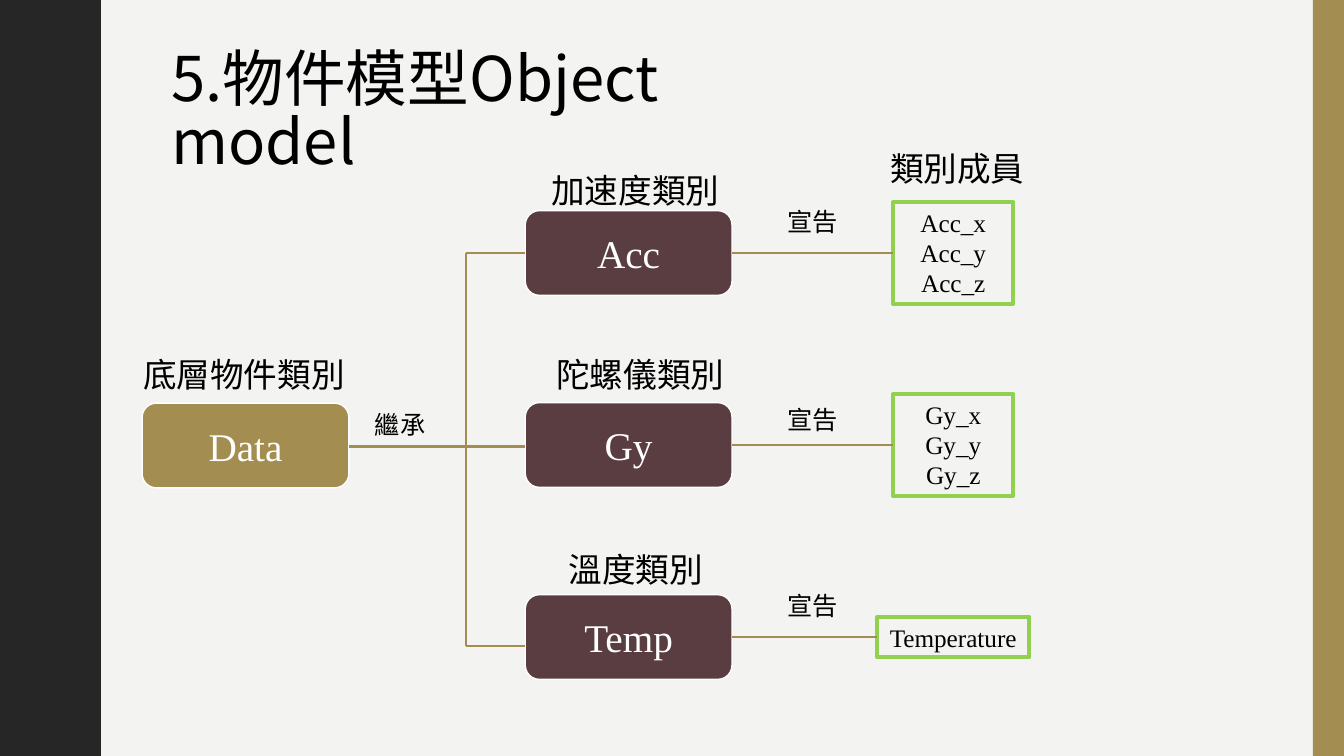
import lxml.etree
import pptx
import pptx.dml.color
import pptx.enum.shapes
import pptx.enum.text
import pptx.oxml.ns
import pptx.util

Inches = pptx.util.Inches
Shape = pptx.enum.shapes.MSO_SHAPE
Align = pptx.enum.text.PP_ALIGN
Anchor = pptx.enum.text.MSO_ANCHOR
qn = pptx.oxml.ns.qn

GOLD, PLUM, GREEN = "A38D51", "5A3D40", "92D050"
DARK, WHITE, BLACK, PAPER = "262626", "FFFFFF", "000000", "F3F3F2"
SERIF, SANS, HEADING = "Times New Roman", "Calibri", "Noto Sans CJK SC"


def color(hex_code):
    return pptx.dml.color.RGBColor.from_string(hex_code)


class ModelPage:
    def __init__(self, deck):
        self.page = deck.slides.add_slide(deck.slide_layouts[5])
        self.page.background.fill.solid()
        self.page.background.fill.fore_color.rgb = color(PAPER)

    def set_text(self, shape, text, size, font, ink, align=Align.LEFT):
        frame = shape.text_frame
        frame.text = text
        for para in frame.paragraphs:
            para.alignment = align
            for span in para.runs:
                span.font.size = pptx.util.Pt(size)
                span.font.name = font
                span.font.color.rgb = color(ink)
        return frame

    def paint(self, shape, fill=None, line=None, weight=1):
        shape.shadow.inherit = False
        if fill:
            shape.fill.solid()
            shape.fill.fore_color.rgb = color(fill)
        else:
            shape.fill.background()
        if line:
            shape.line.color.rgb = color(line)
            shape.line.width = pptx.util.Pt(weight)
        else:
            shape.line.fill.background()

    def title(self, text, left, top, width, height):
        box = self.page.shapes.title
        box.left, box.top = Inches(left), Inches(top)
        box.width, box.height = Inches(width), Inches(height)
        frame = self.set_text(box, text, 44, HEADING, BLACK)
        frame.word_wrap = True
        frame.auto_size = pptx.enum.text.MSO_AUTO_SIZE.NONE
        frame.vertical_anchor = Anchor.TOP
        frame.paragraphs[0].line_spacing = 0.85
        properties = frame.paragraphs[0].runs[0].font._element
        lxml.etree.SubElement(properties, qn("a:ea")).set("typeface", HEADING)

    def label(self, text, left, top, width, height=0.5, size=24, font=SERIF):
        box = self.page.shapes.add_textbox(
            Inches(left), Inches(top), Inches(width), Inches(height))
        self.set_text(box, text, size, font, BLACK).word_wrap = False

    def relation(self, text, left, top):
        self.label(text, left, top, 0.71, 0.4, 18, SANS)

    def shape(self, kind, left, top, width, height, **style):
        shape = self.page.shapes.add_shape(
            kind, Inches(left), Inches(top), Inches(width), Inches(height))
        self.paint(shape, **style)
        return shape

    def class_box(self, name, left, middle, fill):
        box = self.shape(Shape.ROUNDED_RECTANGLE, left, middle - 0.42, 2.05, 0.84,
                         fill=fill, line=WHITE)
        frame = self.set_text(box, name, 28, SERIF, WHITE, Align.CENTER)
        frame.vertical_anchor = Anchor.MIDDLE

    def member_box(self, members, left, middle, width, height):
        box = self.shape(Shape.RECTANGLE, left, middle - height / 2, width, height,
                         line=GREEN, weight=3)
        frame = self.set_text(box, members, 18, SERIF, BLACK, Align.CENTER)
        frame.vertical_anchor = Anchor.TOP

    def line(self, x1, y1, x2, y2):
        connector = self.page.shapes.add_connector(
            pptx.enum.shapes.MSO_CONNECTOR.STRAIGHT,
            Inches(x1), Inches(y1), Inches(x2), Inches(y2))
        connector.line.color.rgb = color(GOLD)
        connector.line.width = pptx.util.Pt(1.5)
        lxml.etree.SubElement(connector._element.spPr, qn("a:effectLst"))

    def wavy_edge(self):
        quarter = [(0.78, 0), (0.78, 0.07), (0.79, 0.14), (0.8, 0.2), (0.81, 0.25),
                   (0.83, 0.29), (0.85, 0.33), (0.87, 0.38), (0.89, 0.42), (0.91, 0.46),
                   (0.93, 0.5), (0.95, 0.55), (0.96, 0.61), (0.97, 0.68), (0.97, 0.75)]
        wave = quarter + [(x, 1.5 - y) for x, y in reversed(quarter[:-1])]
        edge = [(x, y + 1.5 * turn) for turn in range(5) for x, y in wave]
        builder = self.page.shapes.build_freeform(0, 0, scale=Inches(1))
        builder.add_line_segments(edge + [(0, 7.5)], close=True)
        self.paint(builder.convert_to_shape(), fill=DARK)


def main():
    deck = pptx.Presentation()
    deck.slide_width, deck.slide_height = Inches(13.33), Inches(7.5)
    model = ModelPage(deck)
    model.wavy_edge()
    model.shape(Shape.RECTANGLE, 13.02, 0, 0.31, 7.5, fill=GOLD)
    model.title("5.物件模型Object model", 1.6, 0.46, 6.99, 0.84)

    model.label("底層物件類別", 1.32, 3.46, 2.22)
    model.label("類別成員", 8.73, 1.42, 1.55)
    model.class_box("Data", 1.41, 4.42, GOLD)
    trunk, class_left, class_right = 4.62, 5.21, 7.26
    model.line(3.46, 4.43, trunk, 4.43)
    model.line(trunk, 2.51, trunk, 6.41)
    model.relation("繼承", 3.62, 4.01)

    classes = [
        ("Acc", ("加速度類別", 5.37, 1.64, 1.88), 2.51, 2,
         "Acc_x\nAcc_y\nAcc_z", 8.86, 1.19, 1.01),
        ("Gy", ("陀螺儀類別", 5.42, 3.46, 1.88), 4.43, 3.96,
         "Gy_x\nGy_y\nGy_z", 8.86, 1.19, 1.01),
        ("Temp", ("溫度類別", 5.54, 5.4, 1.55), 6.41, 5.81,
         "Temperature", 8.7, 1.51, 0.4),
    ]
    for row, (name, caption, branch, relation_top,
              members, left, width, height) in enumerate(classes):
        middle = 2.51 + 1.905 * row
        model.class_box(name, class_left, middle, PLUM)
        model.member_box(members, left, middle, width, height)
        model.label(*caption)
        model.line(trunk, branch, class_left, branch)
        model.line(class_right, middle, left, middle)
        model.relation("宣告", 7.71, relation_top)

    deck.save("out.pptx")


if __name__ == "__main__":
    main()
